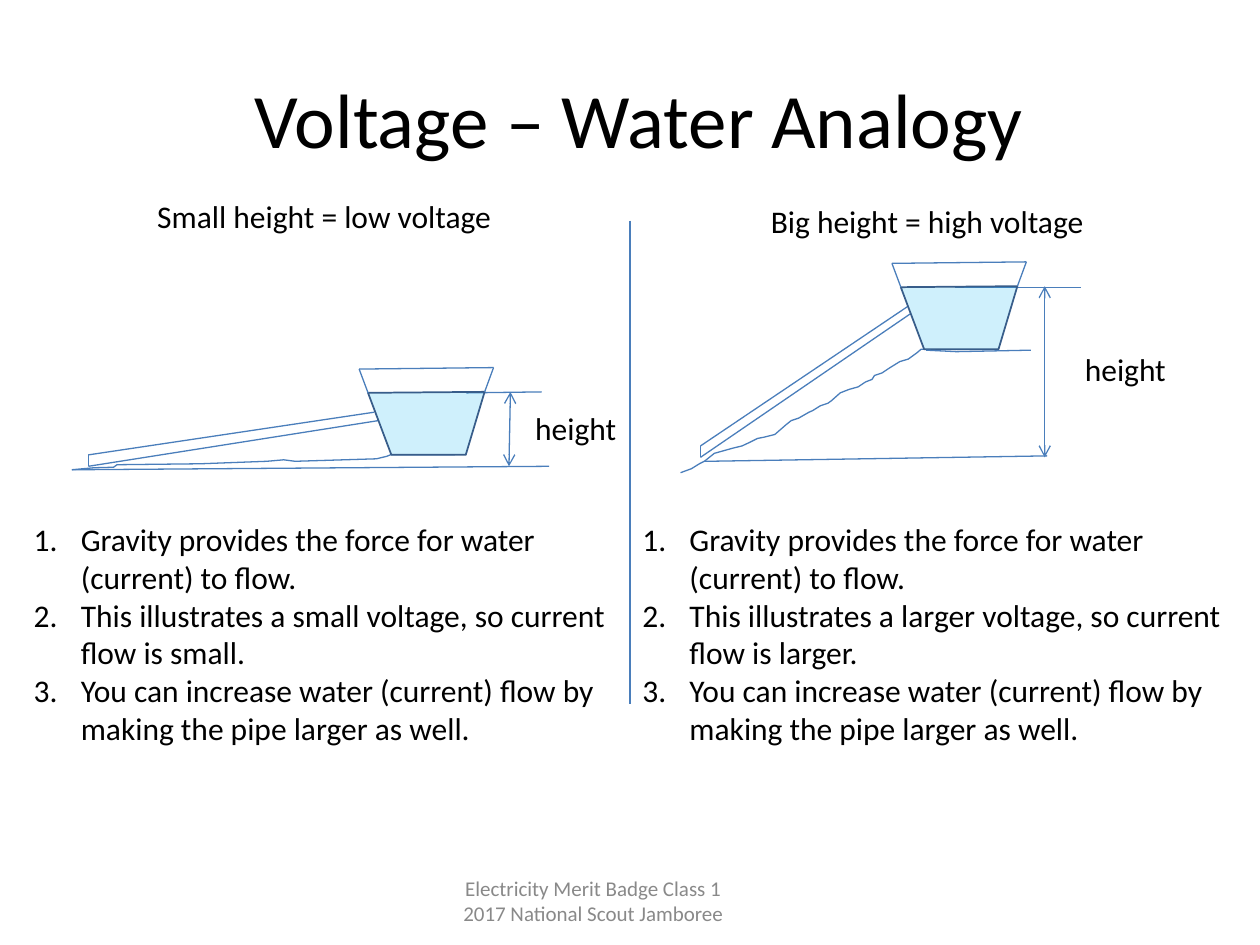
from lxml.etree import SubElement
from pptx import Presentation
from pptx.dml.color import RGBColor
from pptx.enum.shapes import MSO_CONNECTOR
from pptx.enum.text import MSO_ANCHOR, PP_ALIGN
from pptx.oxml.ns import qn
from pptx.util import Cm, Pt

COLORS = {"text": "000000", "footer": "898989", "line": "4A7EBB",
          "water": "00B0F0", "water_edge": "385D8A"}
FONT = "Calibri"

# All positions are in centimetres.
LEFT_SLOPE = [(1.45, 9.47), (1.9, 9.43), (2.29, 9.42), (2.36, 9.37),
              (4.04, 9.35), (5.38, 9.3), (5.72, 9.27), (5.95, 9.3),
              (7.59, 9.25), (7.8, 9.2), (7.87, 9.17), (9.17, 9.17)]
RIGHT_SLOPE = [(13.72, 9.53), (13.94, 9.45), (14.1, 9.35), (14.2, 9.3),
               (14.4, 9.14), (14.76, 9.04), (14.96, 8.99), (15.11, 8.92),
               (15.27, 8.84), (15.42, 8.81), (15.62, 8.76), (15.85, 8.56),
               (15.95, 8.48), (16.1, 8.43), (16.31, 8.31), (16.38, 8.28),
               (16.54, 8.18), (16.69, 8.13), (16.76, 8.08), (16.94, 7.92),
               (17.12, 7.85), (17.3, 7.8), (17.45, 7.7), (17.58, 7.65),
               (17.63, 7.57), (17.78, 7.52), (17.93, 7.42), (18.14, 7.29),
               (18.31, 7.24), (18.49, 7.11), (18.57, 7.04), (18.64, 7.04)]
RIGHT_SHELF = [(18.67, 7.06), (19.28, 7.09), (20.78, 7.06)]


def color(name):
    return RGBColor.from_string(COLORS[name])


def format_text(frame, size, color_name="text", align=PP_ALIGN.LEFT):
    for para in frame.paragraphs:
        para.alignment = align
        for span in para.runs:
            span.font.name = FONT
            span.font.size = Pt(size)
            span.font.color.rgb = color(color_name)


def add_text(page, text, left, top, width, height, wrap=False):
    box = page.shapes.add_textbox(Cm(left), Cm(top), Cm(width), Cm(height))
    box.text_frame.word_wrap = wrap
    box.text_frame.text = text
    format_text(box.text_frame, 18)
    return box.text_frame


def add_numbered_list(page, items, left):
    frame = add_text(page, "\n".join(items), left, 10.36, 12.27, 5.59, wrap=True)
    for para in frame.paragraphs:
        properties = para._p.get_or_add_pPr()
        properties.set("marL", str(Cm(0.95)))
        properties.set("indent", str(-Cm(0.95)))
        SubElement(properties, qn("a:buFont"), typeface="+mj-lt")
        SubElement(properties, qn("a:buAutoNum"), type="arabicPeriod")


def add_line(page, start, end, arrows=False):
    line = page.shapes.add_connector(
        MSO_CONNECTOR.STRAIGHT, *(Cm(value) for value in (*start, *end)))
    line.line.color.rgb = color("line")
    line.line.width = Pt(0.75)
    properties = line._element.spPr
    if arrows:
        for tag in ("a:headEnd", "a:tailEnd"):
            SubElement(properties.find(qn("a:ln")), qn(tag), type="arrow")
    SubElement(properties, qn("a:effectLst"))


def add_outline(page, points, close=False, line_color="line", width=0.75):
    (start_x, start_y), *others = [(Cm(x), Cm(y)) for x, y in points]
    builder = page.shapes.build_freeform(start_x, start_y)
    builder.add_line_segments(others, close=close)
    shape = builder.convert_to_shape()
    shape.shadow.inherit = False
    shape.fill.background()
    shape.line.color.rgb = color(line_color)
    shape.line.width = Pt(width)
    return shape


def add_bucket(page, left, top):
    def at(x, y):
        return left + x, top + y

    water_left, water_right = at(0, 0.02), at(2.35, 0)
    rim_left, rim_right = at(-0.18, -0.46), at(2.53, -0.49)
    water = add_outline(
        page, [water_left, water_right, at(1.97, 1.27), at(0.47, 1.27)],
        close=True, line_color="water_edge", width=1)
    water.fill.solid()
    water.fill.fore_color.rgb = color("water")
    fill_color = water._element.spPr.find(qn("a:solidFill"))[0]
    SubElement(fill_color, qn("a:alpha"), val="19000")
    add_line(page, water_left, rim_left)
    add_line(page, water_right, rim_right)
    add_line(page, rim_left, rim_right)


def add_pipe(page, upper, lower):
    """Each edge runs from the bucket down to the outlet."""
    add_line(page, *upper)
    add_line(page, *lower)
    add_line(page, upper[1], lower[1])


def add_scene(page, slope, pipe, ground, level, height, bucket):
    add_outline(page, slope)
    add_pipe(page, *pipe)
    add_line(page, *ground)
    add_line(page, *level)
    add_line(page, *height, arrows=True)
    add_bucket(page, *bucket)


def add_title(page, text):
    title = page.shapes.title
    title.left, title.top, title.width, title.height = (
        Cm(1.45), Cm(0.79), Cm(22.86), Cm(3.18))
    title.text_frame.text = text
    title.text_frame.vertical_anchor = MSO_ANCHOR.MIDDLE
    format_text(title.text_frame, 44, align=PP_ALIGN.CENTER)


def add_footer(page, text):
    frame = add_text(page, text, 8.05, 17.65, 7.82, 1.02, wrap=True)
    frame.vertical_anchor = MSO_ANCHOR.MIDDLE
    format_text(frame, 12, "footer", PP_ALIGN.CENTER)


def main():
    deck = Presentation()
    deck.slide_width, deck.slide_height = Cm(25.4), Cm(19.05)
    page = deck.slides.add_slide(deck.slide_layouts[5])
    add_title(page, "Voltage – Water Analogy")

    # Low bucket on the left, high bucket on the right
    add_scene(page, LEFT_SLOPE,
              pipe=[((7.54, 8.31), (1.78, 9.17)), ((7.62, 8.48), (1.78, 9.4))],
              ground=((1.45, 9.47), (11.07, 9.4)),
              level=((9.4, 7.92), (10.92, 7.9)),
              height=((10.29, 7.9), (10.26, 9.4)),
              bucket=(7.42, 7.9))
    add_scene(page, RIGHT_SLOPE,
              pipe=[((18.31, 6.17), (14.12, 8.99)), ((18.36, 6.32), (14.12, 9.22))],
              ground=((14.2, 9.3), (21.11, 9.19)),
              level=((19.25, 5.79), (21.79, 5.79)),
              height=((21.06, 5.77), (21.06, 9.22)),
              bucket=(18.16, 5.77))
    add_outline(page, RIGHT_SHELF)
    add_line(page, (12.7, 4.45), (12.7, 14.2))

    # Captions and height labels
    add_text(page, "Small height = low voltage", 2.92, 3.84, 7.4, 1.02)
    add_text(page, "Big height = high voltage", 15.29, 3.94, 7, 1.02)
    for left, top in ((10.54, 8.13), (21.62, 6.93)):
        add_text(page, "height", left, top, 2.3, 1.02)

    # Explanations
    for left, size, flow in ((0.43, "small", "small"), (12.7, "larger", "larger")):
        add_numbered_list(page, [
            "Gravity provides the force for water (current) to flow.",
            f"This illustrates a {size} voltage, so current flow is {flow}.",
            "You can increase water (current) flow by making the pipe larger as well.",
        ], left)

    add_footer(page, "Electricity Merit Badge Class 1\n2017 National Scout Jamboree")
    deck.save("out.pptx")


if __name__ == "__main__":
    main()
